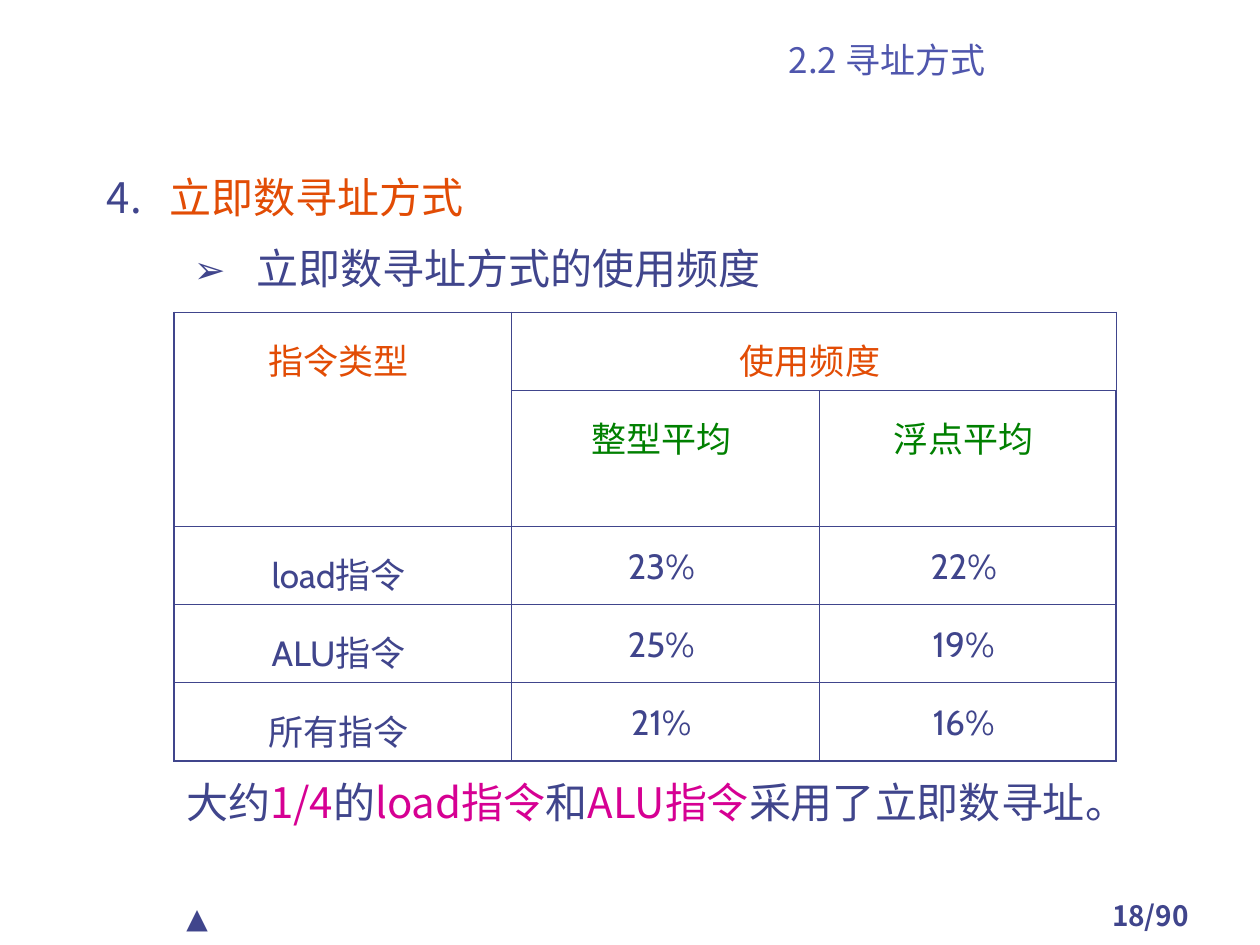
from lxml.etree import SubElement
from pptx import Presentation
from pptx.dml.color import RGBColor as RGB
from pptx.enum.text import MSO_ANCHOR as ANCHOR, PP_ALIGN as ALIGN
from pptx.oxml.ns import qn
from pptx.util import Inches, Pt

# Content
C = {"ink": "40458C", "title": "4F56AD", "orange": "E24C05",
     "green": "008000", "pink": "D60093"}
CJK, LATIN = "Noto Sans CJK SC", "Cabin"
W, H = 10, 7.5

TITLE = "2.2 寻址方式"
OUTLINE = [  # text, colour, level, left margin, bullet
    ("立即数寻址方式", "orange", 0, 0.5,
     ("buAutoNum", {"type": "arabicPeriod", "startAt": "4"}), 100),
    ("立即数寻址方式的使用频度", "ink", 1, 1.19, ("buChar", {"char": "➢"}), 90),
]
ROWS = [
    ("指令类型 ", "使用频度 ", None),
    (None, "整型平均 ", "浮点平均 "),
    ("load指令 ", "23% ", "22% "),
    ("ALU指令 ", "25% ", "19% "),
    ("所有指令 ", "21% ", "16% "),
]
ROW_COLORS = ["orange", "green", "ink", "ink", "ink"]
MERGES = [((0, 0), (1, 0)), ((0, 1), (0, 2))]
COL_W = [2.68, 2.44, 2.36]
ROW_H = [0.62, 1.08, 0.62, 0.62, 0.62]
SUMMARY = [("大约", "ink"), ("1/4", "pink"), ("的", "ink"), ("load指令", "pink"),
           ("和", "ink"), ("ALU指令", "pink"), ("采用了立即数寻址。", "ink")]
LEFT = 1.38  # shared left edge of table, summary and marker


def add_run(p, text, color, size, font=CJK, bold=False):
    r = p.add_run()
    r.text = text
    for name, value in {"size": Pt(size), "name": font, "bold": bold}.items():
        setattr(r.font, name, value)
    r.font.color.rgb = RGB.from_string(C[color])
    SubElement(r._r.get_or_add_rPr(), qn("a:ea"), typeface=CJK)


def add_box(s, x, y, w, h, anchor=ANCHOR.TOP):
    tf = s.shapes.add_textbox(*map(Inches, (x, y, w, h))).text_frame
    tf.word_wrap = True
    tf.vertical_anchor = anchor
    return tf


def add_bullet(p, margin, bullet, percent):
    pPr = p._p.get_or_add_pPr()
    pPr.set("marL", str(Inches(margin)))
    pPr.set("indent", str(Inches(-0.5)))
    SubElement(SubElement(pPr, qn("a:buClr")), qn("a:srgbClr"), val=C["ink"])
    SubElement(pPr, qn("a:buSzPct"), val=str(percent * 1000))
    SubElement(pPr, qn("a:buFont"), typeface=CJK)
    tag, attrs = bullet
    SubElement(pPr, qn("a:" + tag), attrs)


def add_borders(cell, outer):
    tcPr = cell._tc.get_or_add_tcPr()
    for i, side in enumerate("LRTB"):
        width = Pt(1.08 if side in outer else 0.45)
        ln = SubElement(tcPr, qn("a:ln" + side), w=str(width))
        SubElement(SubElement(ln, qn("a:solidFill")), qn("a:srgbClr"), val=C["ink"])


def add_usage_table(s):
    shape = s.shapes.add_table(len(ROWS), len(COL_W), Inches(LEFT), Inches(2.48),
                               Inches(sum(COL_W)), Inches(sum(ROW_H)))
    t = shape.table
    for col, w in zip(t.columns, COL_W):
        col.width = Inches(w)
    for row, h in zip(t.rows, ROW_H):
        row.height = Inches(h)
    for i, row in enumerate(ROWS):
        for j, text in enumerate(row):
            cell = t.cell(i, j)
            edges = {"L": j == 0, "R": j == len(COL_W) - 1,
                     "T": i == 0, "B": i == len(ROWS) - 1}
            add_borders(cell, [side for side, on in edges.items() if on])
            cell.fill.background()
            if text:
                p = cell.text_frame.paragraphs[0]
                p.alignment, p.line_spacing = ALIGN.CENTER, 1.3
                add_run(p, text, ROW_COLORS[i], 20, LATIN)
    for first, last in MERGES:
        t.cell(*first).merge(t.cell(*last))


def main():
    prs = Presentation()
    prs.slide_width, prs.slide_height = Inches(W), Inches(H)
    s = prs.slides.add_slide(prs.slide_layouts[6])

    # Page number and corner marker
    p = add_box(s, 8.42, 7.08, 1.42, 0.33).paragraphs[0]
    p.alignment = ALIGN.CENTER
    add_run(p, "18/90", "ink", 16, bold=True)
    add_run(add_box(s, LEFT, 7.1, 1.42, 0.37).paragraphs[0], "▲", "ink", 16, LATIN)

    # Title
    p = add_box(s, 4.25, 0.27, 5.58, 0.42, ANCHOR.BOTTOM).paragraphs[0]
    p.alignment = ALIGN.CENTER
    add_run(p, TITLE, "title", 20)

    # Outline
    tf = add_box(s, 0.75, 1.23, 8.74, 1.18)
    for i, (text, color, level, margin, bullet, percent) in enumerate(OUTLINE):
        p = tf.add_paragraph() if i else tf.paragraphs[0]
        add_bullet(p, margin, bullet, percent)
        p.level, p.line_spacing = level, 1.2
        if i:
            p.space_before = Pt(6)
        add_run(p, text, color, 24, LATIN)

    # Table and summary
    add_usage_table(s)
    p = add_box(s, LEFT, 6.11, 7.56, 0.94).paragraphs[0]
    for text, color in SUMMARY:
        add_run(p, text, color, 24)

    prs.save("out.pptx")


if __name__ == "__main__":
    main()
